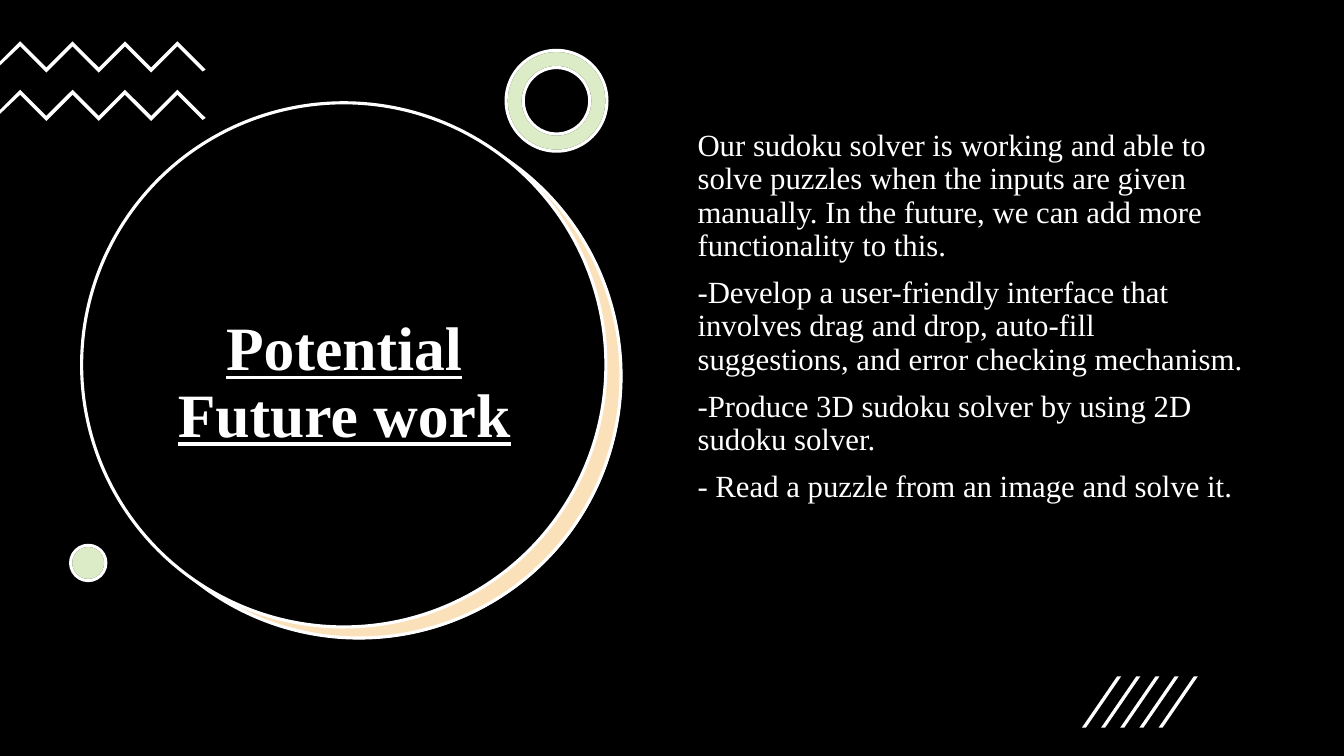
from dataclasses import dataclass

from lxml import etree
from pptx import Presentation
from pptx import util as u
from pptx.dml.color import RGBColor
from pptx.enum import shapes, text
from pptx.oxml.ns import qn

TITLE = "Potential Future work"
BODY = [
    "Our sudoku solver is working and able to solve puzzles when the inputs are given "
    "manually. In the future, we can add more functionality to this.",
    "-Develop a user-friendly interface that involves drag and drop, auto-fill "
    "suggestions, and error checking mechanism.",
    "-Produce 3D sudoku solver by using 2D sudoku solver.",
    "- Read a puzzle from an image and solve it.",
]


@dataclass(frozen=True)
class Theme:
    black: str = "000000"
    white: str = "FFFFFF"
    orange: str = "F19D19"
    green: str = "8BC145"
    font: str = "Times New Roman"
    title_size: int = 44
    body_size: int = 22
    outline: float = 2.25
    tint: int = 30


THEME = Theme()
WIDTH, HEIGHT = 13.33, 7.5
SHAPE = shapes.MSO_SHAPE

# Boxes: left, top, width, height in inches
DISC = 5.2
TITLE_BOX = (1.21, 2.05, 4.41, 3.52)
BODY_BOX = (6.82, 1.24, 5.71, 4.76)
RING_BOX = (5.02, 0.5, 1, 1)
DOT_BOX = (0.7, 5.41, 0.35, 0.35)

ZIGZAG_TOPS = (0.41, 0.89)
ZIGZAG_START, ZIGZAG_STEP, ZIGZAG_POINTS = 0.2, 0.26, 7
ZIGZAG_DEPTH, ZIGZAG_THICKNESS = 0.26, 0.05

SLASH_LEFT, SLASH_TOP, SLASH_GAP, SLASH_COUNT = 10.73, 6.71, 0.19, 5
SLASH_WIDTH, SLASH_HEIGHT, SLASH_SHIFT = 0.39, 0.51, 0.35


def inches(values):
    return [u.Inches(value) for value in values]


def paint(shape, fill, line=None, opacity=100):
    shape.shadow.inherit = False
    shape.fill.solid()
    shape.fill.fore_color.rgb = RGBColor.from_string(fill)
    if opacity < 100:
        color = shape.fill._xPr.find(qn("a:solidFill"))[0]
        etree.SubElement(color, qn("a:alpha"), val=str(opacity * 1000))
    if line:
        shape.line.color.rgb = RGBColor.from_string(line)
        shape.line.width = u.Pt(THEME.outline)
    else:
        shape.line.fill.background()


def add_shape(slide, kind, box, fill, line=None, opacity=100, adjustment=None):
    shape = slide.shapes.add_shape(kind, *inches(box))
    if adjustment is not None:
        shape.adjustments[0] = adjustment
    paint(shape, fill, line, opacity)


def add_tinted(slide, kind, box, adjustment=None):
    """Pale green shape: a translucent tint over a white base."""
    add_shape(slide, kind, box, THEME.white, THEME.black, adjustment=adjustment)
    add_shape(slide, kind, box, THEME.green, THEME.white, THEME.tint, adjustment)


def add_zigzag(slide, top):
    upper = [(ZIGZAG_START + i * ZIGZAG_STEP, top + i % 2 * ZIGZAG_DEPTH)
             for i in range(ZIGZAG_POINTS)]
    lower = [(x, y + ZIGZAG_THICKNESS) for x, y in reversed(upper)]
    right_end = [(2.04, top + 0.28), (2.01, top + 0.3)]
    left_end = [(0, top + 0.24), (0, top + 0.2)]
    points = [inches(point) for point in upper + right_end + lower + left_end]
    builder = slide.shapes.build_freeform(*points[0])
    builder.add_line_segments(points[1:], close=True)
    paint(builder.convert_to_shape(), THEME.white)


def add_text(slide, box, paragraphs, frame_format, paragraph_format, font_format):
    frame = slide.shapes.add_textbox(*inches(box)).text_frame
    for name, value in frame_format.items():
        setattr(frame, name, value)
    for index, content in enumerate(paragraphs):
        paragraph = frame.add_paragraph() if index else frame.paragraphs[0]
        for name, value in paragraph_format.items():
            setattr(paragraph, name, value)
        run = paragraph.add_run()
        run.text = content
        for name, value in font_format.items():
            setattr(run.font, name, value)
        run.font.color.rgb = RGBColor.from_string(THEME.white)


def main():
    presentation = Presentation()
    presentation.slide_width, presentation.slide_height = inches((WIDTH, HEIGHT))
    slide = presentation.slides.add_slide(presentation.slide_layouts[6])

    add_shape(slide, SHAPE.RECTANGLE, (0, 0, WIDTH, HEIGHT), THEME.black)
    for left, top, fill, line, opacity in (
        (0.97, 1.14, THEME.white, None, 100),
        (0.96, 1.13, THEME.orange, THEME.white, THEME.tint),
        (0.81, 1.02, THEME.black, THEME.white, 100),
    ):
        add_shape(slide, SHAPE.OVAL, (left, top, DISC, DISC), fill, line, opacity)

    add_text(slide, TITLE_BOX, [TITLE],
             {"word_wrap": True, "vertical_anchor": text.MSO_ANCHOR.MIDDLE},
             {"alignment": text.PP_ALIGN.CENTER, "line_spacing": 0.9},
             {"name": THEME.font, "size": u.Pt(THEME.title_size),
              "bold": True, "underline": True})

    for top in ZIGZAG_TOPS:
        add_zigzag(slide, top)
    add_tinted(slide, SHAPE.DONUT, RING_BOX, adjustment=0.17)
    add_tinted(slide, SHAPE.OVAL, DOT_BOX)

    add_text(slide, BODY_BOX, BODY,
             {"word_wrap": True, "vertical_anchor": text.MSO_ANCHOR.TOP},
             {"line_spacing": 0.9, "space_before": u.Pt(10)},
             {"name": THEME.font, "size": u.Pt(THEME.body_size)})

    for i in range(SLASH_COUNT):
        box = (SLASH_LEFT + i * SLASH_GAP, SLASH_TOP, SLASH_WIDTH, SLASH_HEIGHT)
        add_shape(slide, SHAPE.PARALLELOGRAM, box, THEME.white,
                  adjustment=SLASH_SHIFT / SLASH_WIDTH)

    presentation.save("out.pptx")


if __name__ == "__main__":
    main()
